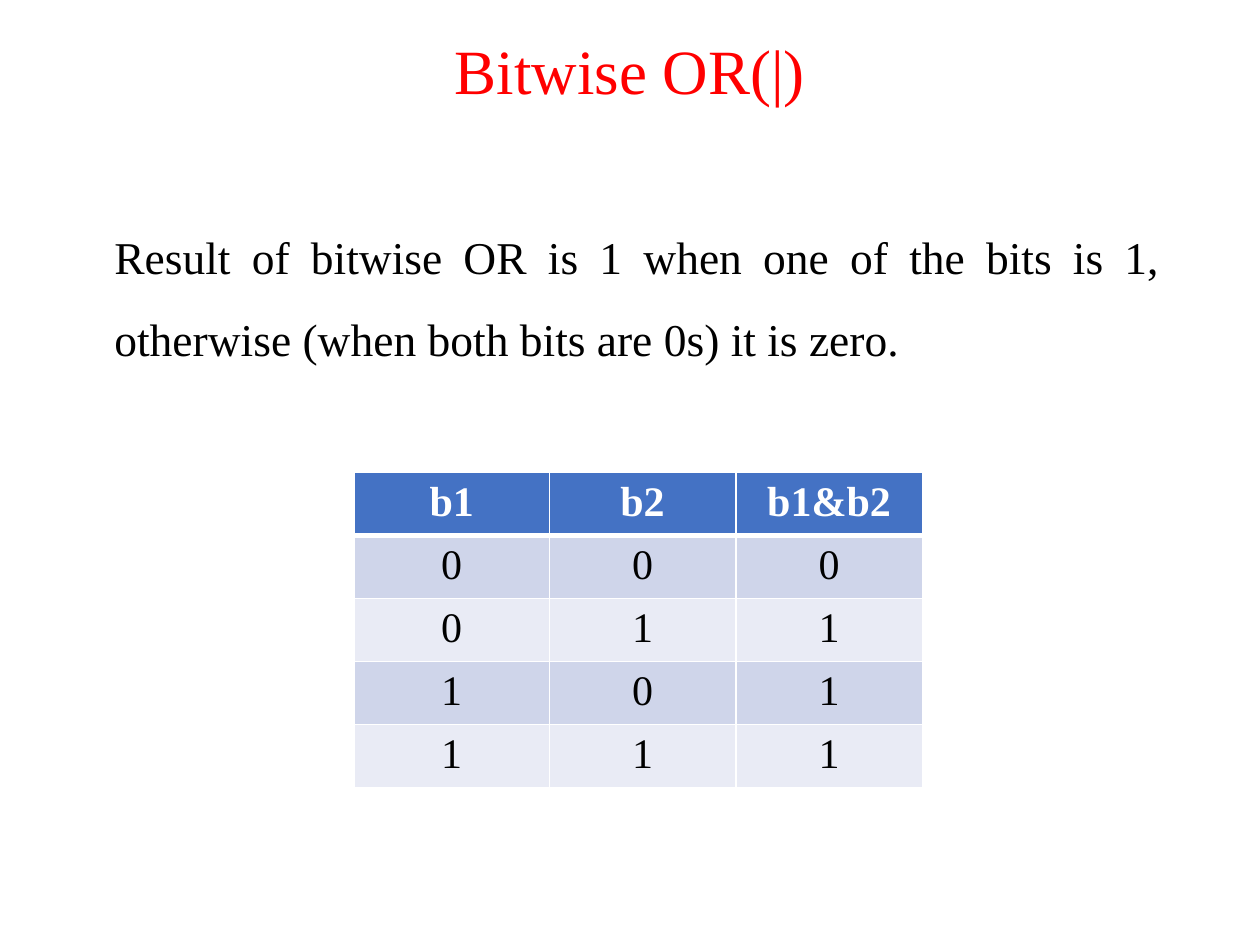
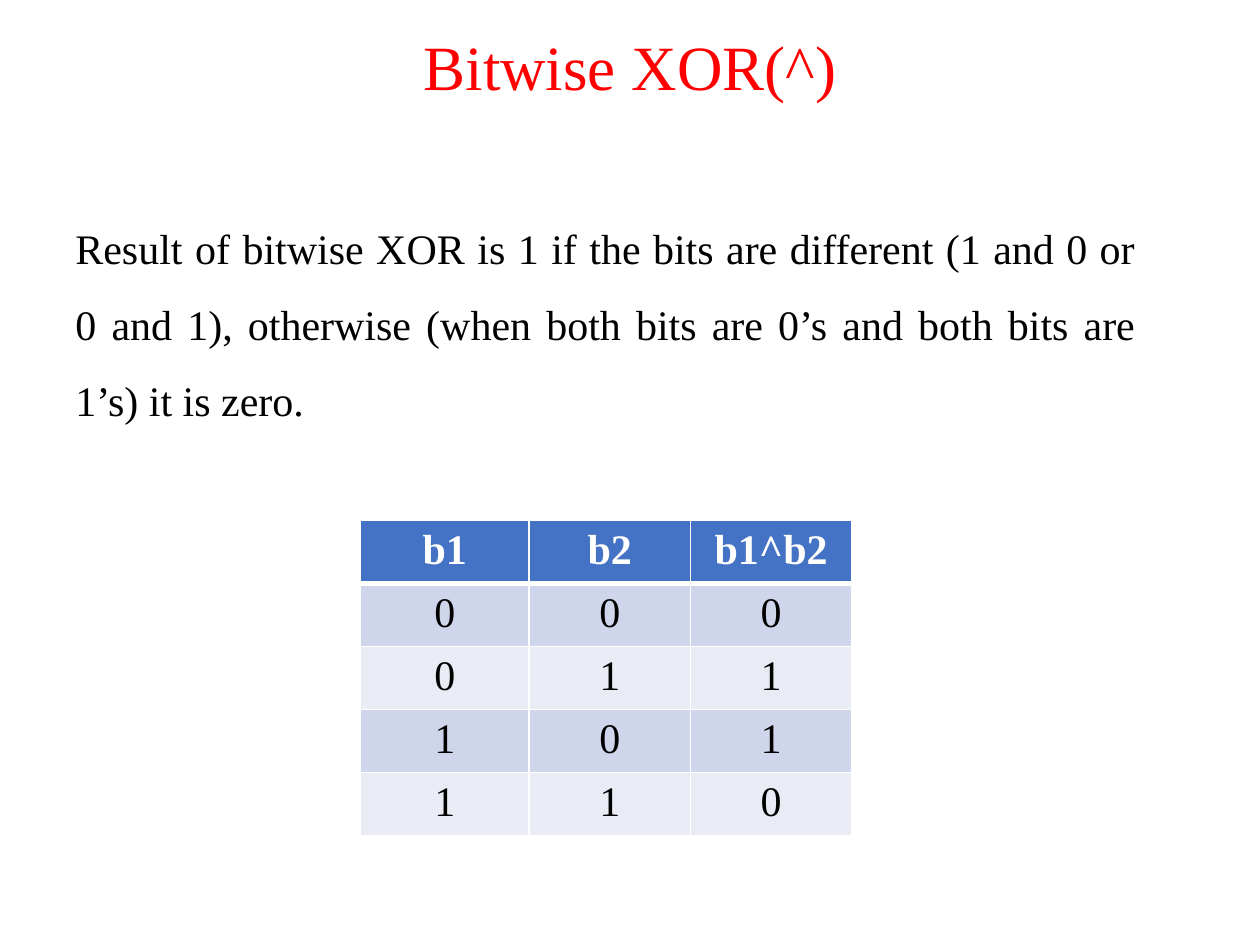
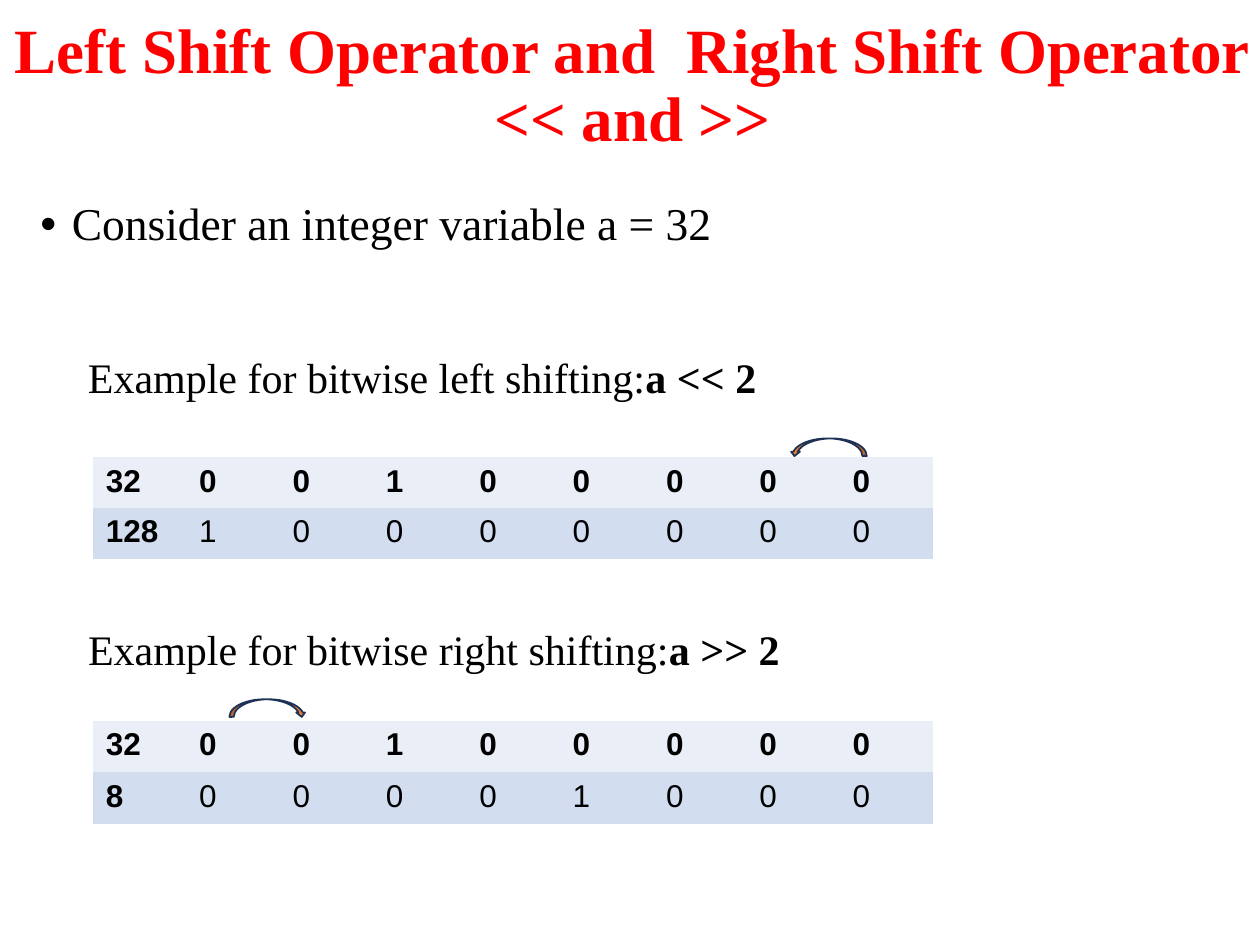
"""Build three slides on bitwise OR, XOR and shift operators."""
from dataclasses import dataclass

from lxml import etree
from pptx import Presentation
from pptx.dml.color import RGBColor
from pptx.enum.shapes import MSO_SHAPE
from pptx.enum.text import MSO_ANCHOR, MSO_AUTO_SIZE, PP_ALIGN
from pptx.oxml.ns import qn
from pptx.util import Inches, Pt

CENTER, JUSTIFY, LEFT = PP_ALIGN.CENTER, PP_ALIGN.JUSTIFY, PP_ALIGN.LEFT
MIDDLE = MSO_ANCHOR.MIDDLE
FIXED_SIZE, GROW = MSO_AUTO_SIZE.NONE, MSO_AUTO_SIZE.SHAPE_TO_FIT_TEXT
CURVED_ARROW = MSO_SHAPE.CURVED_DOWN_ARROW

SLIDE_WIDTH, SLIDE_HEIGHT = Inches(10), Inches(7.5)
GRID_COLUMNS, GRID_ROWS = 100, 75
TITLE_ONLY = 5
SERIF, SANS = "Times New Roman", "Arial"
PLAIN_TABLE = "{2D5ABB26-0587-4C30-8999-92F81FD0307C}"
COLORS = {
    "title": "FF0000",
    "text": "000000",
    "white": "FFFFFF",
    "header": "4472C4",
    "truth_odd": "CFD5EA",
    "truth_even": "E9EBF5",
    "bits_before": "EAEFF7",
    "bits_after": "D2DEEF",
    "arrow": "ED7D31",
    "arrow_line": "1E3256",
}


@dataclass(frozen=True)
class Box:
    """A rectangle in grid columns and rows."""
    left: float
    top: float
    width: float
    height: float

    def place(self) -> tuple[int, int, int, int]:
        """Return left, top, width and height as slide lengths."""
        return (across(self.left), down(self.top),
                across(self.width), down(self.height))


@dataclass(frozen=True)
class TextStyle:
    """The look of a run."""
    size: float
    color: str = "text"
    font: str = SERIF
    bold: bool = False


@dataclass(frozen=True)
class TruthSlide:
    """A slide that explains one operator with a truth table."""
    title: str
    title_top: float
    explanation: str
    explanation_box: Box
    explanation_size: float
    result_name: str
    results: str
    table_left: float
    table_top: float
    column_widths: tuple[float, ...]
    row_height: float


@dataclass(frozen=True)
class ShiftExample:
    """A shift with its bit table and arrow."""
    caption: str
    expression: str
    caption_box: Box
    table_top: float
    row_heights: tuple[float, float]
    after: int
    arrow_box: Box
    leftward: bool


TRUTH_SLIDES = (
    TruthSlide(
        "Bitwise OR(|)", 1.3,
        "Result of bitwise OR is 1 when one of the bits is 1, "
        "otherwise (when both bits are 0s) it is zero.",
        Box(8.1, 15.5, 85, 13.4), 26,
        "b1&b2", "0111", 28.1, 37.5, (15.5, 14.8, 14.8), 5),
    TruthSlide(
        "Bitwise XOR(^)", 1,
        "Result of bitwise XOR is 1 if the bits are different (1 and 0 or 0 and 1), "
        "otherwise (when both bits are 0’s and both bits are 1’s) it is zero.",
        Box(5, 15.2, 86.1, 18.5), 24,
        "b1^b2", "0110", 28.6, 41.3, (13.4, 12.8, 12.8), 4.7),
)
SHIFTED_VALUE = 32
SHIFT_EXAMPLES = (
    ShiftExample("Example for bitwise left shifting:", "a << 2", Box(6, 27.4, 61.4, 5),
                 36.3, (3.8, 4.1), SHIFTED_VALUE << 2, Box(62.7, 34.8, 6.1, 1.4), True),
    ShiftExample("Example for bitwise right shifting:", "a >> 2", Box(6, 49, 62.8, 5),
                 57.2, (4.1, 4.1), SHIFTED_VALUE >> 2, Box(18.2, 55.5, 6.1, 1.4), False),
)


def across(columns: float) -> int:
    """Convert grid columns to a length."""
    return round(SLIDE_WIDTH * columns / GRID_COLUMNS)


def down(rows: float) -> int:
    """Convert grid rows to a length."""
    return round(SLIDE_HEIGHT * rows / GRID_ROWS)


def rgb(name: str) -> RGBColor:
    """Look up a named colour."""
    return RGBColor.from_string(COLORS[name])


def add_run(paragraph, text: str, style: TextStyle) -> None:
    """Append a formatted run."""
    run = paragraph.add_run()
    run.text = text
    run.font.name = style.font
    run.font.size = Pt(style.size)
    run.font.bold = style.bold
    run.font.color.rgb = rgb(style.color)


def clear_margins(frame) -> None:
    """Remove the inner margins of a text frame."""
    frame.margin_left = frame.margin_right = 0
    frame.margin_top = frame.margin_bottom = 0


def add_title_slide(presentation, lines: tuple[str, ...], box: Box, bold: bool = False):
    """Add a slide with a red centred title."""
    slide = presentation.slides.add_slide(presentation.slide_layouts[TITLE_ONLY])
    title = slide.shapes.title
    title.left, title.top, title.width, title.height = box.place()
    frame = title.text_frame
    frame.auto_size, frame.vertical_anchor = FIXED_SIZE, MIDDLE
    clear_margins(frame)
    paragraph = frame.paragraphs[0]
    paragraph.alignment, paragraph.line_spacing = CENTER, 0.9
    for index, line in enumerate(lines):
        if index:
            paragraph.add_line_break()
        add_run(paragraph, line, TextStyle(36, "title", bold=bold))
    return slide


def add_text(slide, box: Box, runs: list[tuple[str, TextStyle]],
             alignment=LEFT, line_spacing: float = 1):
    """Add a wrapped one-paragraph text box and return its frame."""
    frame = slide.shapes.add_textbox(*box.place()).text_frame
    frame.word_wrap, frame.auto_size = True, GROW
    paragraph = frame.paragraphs[0]
    paragraph.alignment, paragraph.line_spacing = alignment, line_spacing
    for text, style in runs:
        add_run(paragraph, text, style)
    return frame


def add_bullet(slide, box: Box, text: str, style: TextStyle) -> None:
    """Add a bulleted line."""
    frame = add_text(slide, box, [(text, style)], line_spacing=0.9)
    frame.auto_size = FIXED_SIZE
    clear_margins(frame)
    paragraph = frame.paragraphs[0]
    paragraph.space_before = Pt(10)
    properties = paragraph._p.get_or_add_pPr()
    indent = across(2.5)
    properties.set("marL", str(indent))
    properties.set("indent", str(-indent))
    etree.SubElement(properties, qn("a:buFont"), typeface=SANS)
    etree.SubElement(properties, qn("a:buChar"), char="•")


def add_plain_table(slide, left: float, top: float,
                    widths: tuple[float, ...], heights: tuple[float, ...]):
    """Add an unstyled table with the given columns and rows."""
    box = Box(left, top, sum(widths), sum(heights))
    frame = slide.shapes.add_table(len(heights), len(widths), *box.place())
    table = frame.table
    table._tbl.tblPr.find(qn("a:tableStyleId")).text = PLAIN_TABLE
    table.first_row = table.horz_banding = False
    for column, width in zip(table.columns, widths):
        column.width = across(width)
    for row, height in zip(table.rows, heights):
        row.height = down(height)
    return table


def set_borders(cell, top: float, bottom: float) -> None:
    """Draw white cell borders, one point wide at the sides."""
    properties = cell._tc.get_or_add_tcPr()
    for side, width in (("L", 1), ("R", 1), ("T", top), ("B", bottom)):
        line = etree.SubElement(properties, qn(f"a:ln{side}"), w=str(Pt(width)))
        fill = etree.SubElement(line, qn("a:solidFill"))
        etree.SubElement(fill, qn("a:srgbClr"), val=COLORS["white"])


def fill_cell(cell, text: str, fill: str, style: TextStyle, alignment=LEFT) -> None:
    """Write and colour a cell."""
    cell.fill.solid()
    cell.fill.fore_color.rgb = rgb(fill)
    paragraph = cell.text_frame.paragraphs[0]
    paragraph.alignment = alignment
    add_run(paragraph, text, style)


def add_truth_table(slide, content: TruthSlide) -> None:
    """Add the table of both input bits and the result."""
    rows = [("b1", "b2", content.result_name)]
    rows += [(*f"{index:02b}", result) for index, result in enumerate(content.results)]
    table = add_plain_table(slide, content.table_left, content.table_top,
                            content.column_widths, (content.row_height,) * len(rows))
    for row_index, row in enumerate(rows):
        header = row_index == 0
        fill = "header" if header else "truth_odd" if row_index % 2 else "truth_even"
        style = TextStyle(24, "white" if header else "text", bold=header)
        for column_index, text in enumerate(row):
            cell = table.cell(row_index, column_index)
            set_borders(cell, 3 if row_index == 1 else 1, 3 if header else 1)
            fill_cell(cell, text, fill, style, CENTER)


def add_bit_table(slide, example: ShiftExample) -> None:
    """Add the bits of a value before and after a shift."""
    table = add_plain_table(slide, 7.4, example.table_top, (7.41,) * 9, example.row_heights)
    fills = ("bits_before", "bits_after")
    for row_index, value in enumerate((SHIFTED_VALUE, example.after)):
        for column_index, text in enumerate((str(value), *f"{value:08b}")):
            bold = row_index == 0 or column_index == 0
            fill_cell(table.cell(row_index, column_index), text, fills[row_index],
                      TextStyle(18, font=SANS, bold=bold))


def add_shift_arrow(slide, box: Box, leftward: bool) -> None:
    """Add a curved arrow in the direction of the shift."""
    arrow = slide.shapes.add_shape(CURVED_ARROW, *box.place())
    arrow.shadow.inherit = False
    arrow.fill.solid()
    arrow.fill.fore_color.rgb = rgb("arrow")
    arrow.line.color.rgb = rgb("arrow_line")
    arrow.line.width = Pt(1)
    if leftward:
        arrow._element.spPr.xfrm.set("flipH", "1")


def add_truth_slide(presentation, content: TruthSlide) -> None:
    """Add the slide of one bitwise operator."""
    slide = add_title_slide(presentation, (content.title,),
                            Box(6.9, content.title_top, 86.2, 9.2))
    add_text(slide, content.explanation_box,
             [(content.explanation, TextStyle(content.explanation_size))], JUSTIFY, 1.5)
    add_truth_table(slide, content)


def add_shift_slide(presentation) -> None:
    """Add the slide of both shift operators."""
    lines = ("Left Shift Operator and  Right Shift Operator", "<< and >>")
    slide = add_title_slide(presentation, lines, Box(0.3, 0.7, 99.8, 12.5), bold=True)
    add_bullet(slide, Box(3.2, 16, 90, 12.5),
               f"Consider an integer variable a = {SHIFTED_VALUE}", TextStyle(26))
    for example in SHIFT_EXAMPLES:
        add_text(slide, example.caption_box,
                 [(example.caption, TextStyle(24)),
                  (example.expression, TextStyle(24, bold=True))])
        add_bit_table(slide, example)
        add_shift_arrow(slide, example.arrow_box, example.leftward)


def main() -> None:
    """Build and save the presentation."""
    presentation = Presentation()
    presentation.slide_width, presentation.slide_height = SLIDE_WIDTH, SLIDE_HEIGHT
    for content in TRUTH_SLIDES:
        add_truth_slide(presentation, content)
    add_shift_slide(presentation)
    presentation.save("out.pptx")


if __name__ == "__main__":
    main()
